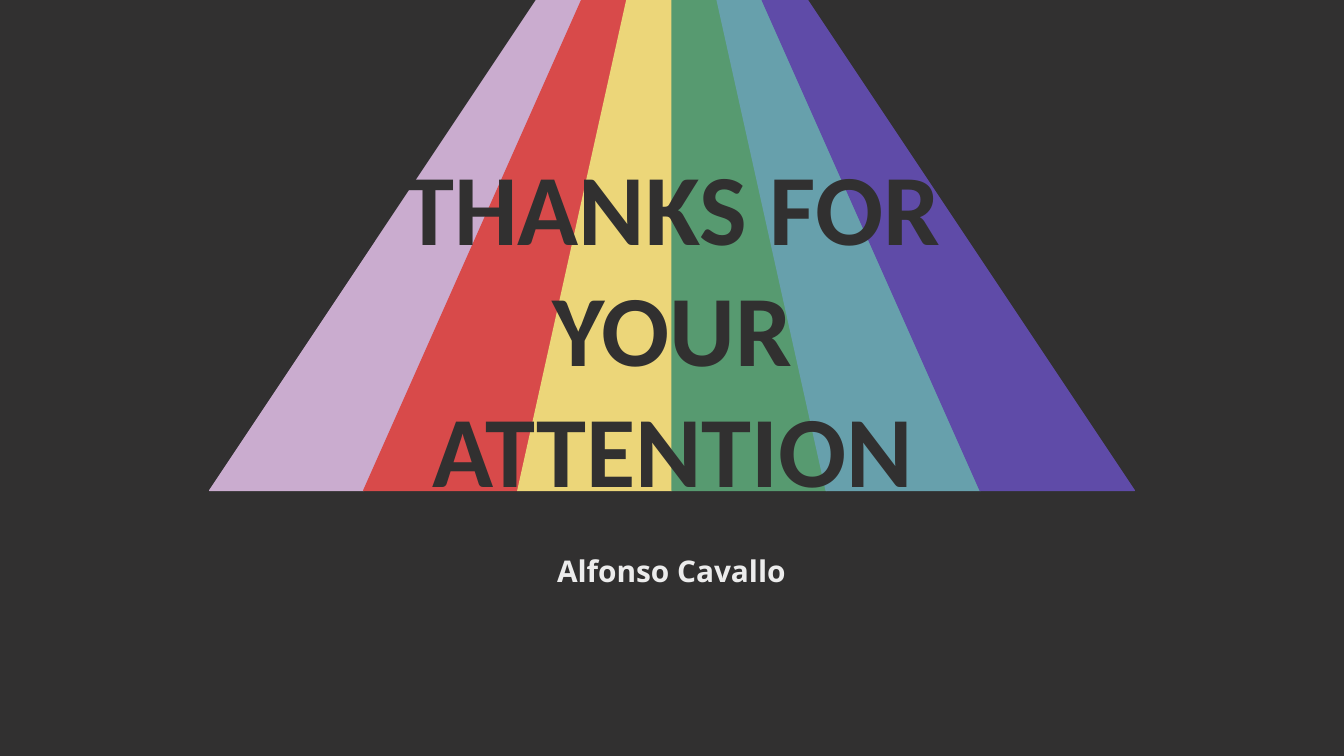
from pptx import Presentation
from pptx.dml.color import RGBColor
from pptx.enum import text
from pptx.util import Pt

DARK = "313030"
STRIPES = ["CAACCF", "D84A4A", "ECD679", "579A70", "67A0AC", "5F4BA8"]


def paint(fill, color):
    fill.solid()
    fill.fore_color.rgb = RGBColor.from_string(color)


def add_beam(slide, left, top, width, height, inset):
    base = width / len(STRIPES)
    tip = (width - 2 * inset) / len(STRIPES)
    for i, color in enumerate(STRIPES):
        low = left + i * base
        high = left + inset + i * tip
        points = [
            (low, top + height),
            (high, top),
            (high + tip, top),
            (low + base, top + height),
        ]
        start, *rest = [(Pt(x), Pt(y)) for x, y in points]
        form = slide.shapes.build_freeform(*start)
        form.add_line_segments(rest, close=True)
        stripe = form.convert_to_shape()
        stripe.shadow.inherit = False
        paint(stripe.fill, color)
        paint(stripe.line.fill, color)
        stripe.line.width = Pt(0.75)


def add_label(slide, left, top, width, height, lines, font, size, color):
    box = slide.shapes.add_textbox(Pt(left), Pt(top), Pt(width), Pt(height))
    frame = box.text_frame
    frame.word_wrap = True
    frame.vertical_anchor = text.MSO_ANCHOR.MIDDLE
    frame.margin_left = frame.margin_right = 0
    frame.margin_top = frame.margin_bottom = 0
    para = frame.paragraphs[0]
    para.alignment = text.PP_ALIGN.CENTER
    for i, line in enumerate(lines):
        if i:
            para.add_line_break()
        run = para.add_run()
        run.text = line
        run.font.name = font
        run.font.size = Pt(size)
        run.font.bold = True
        paint(run.font.fill, color)


def main():
    deck = Presentation()
    deck.slide_width, deck.slide_height = Pt(720), Pt(405)
    slide = deck.slides.add_slide(deck.slide_layouts[6])
    paint(slide.background.fill, DARK)
    add_beam(slide, 112.3, 0, 495.4, 262.8, 175.2)
    title = ["THANKS FOR YOUR", "ATTENTION"]
    add_label(slide, 191.5, 135.4, 337.7, 78.5, title, "Calibri", 54, DARK)
    name = ["Alfonso Cavallo"]
    add_label(slide, 234, 289.4, 251.3, 33.1, name, "Noto Sans", 16, "ECECEC")
    deck.save("out.pptx")


if __name__ == "__main__":
    main()
